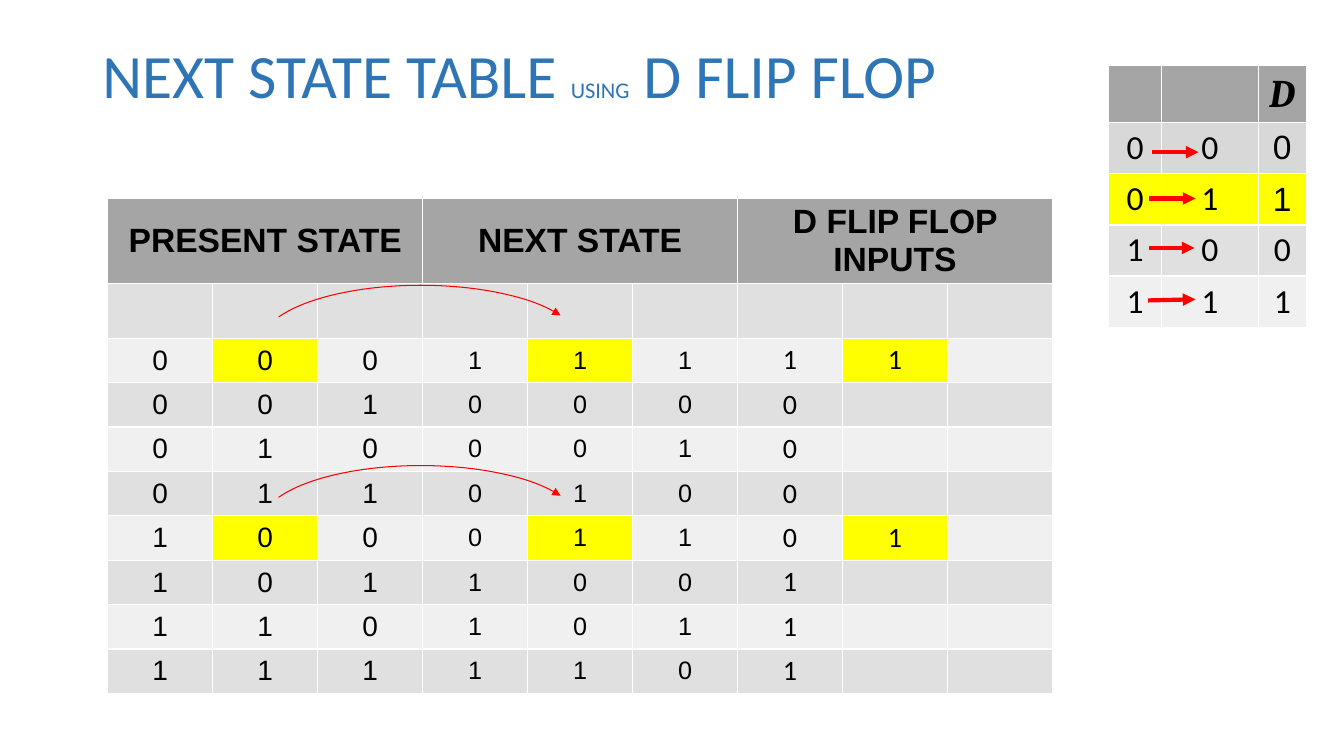
"""Build the next state table slide for a D flip flop design."""
import pptx
import pptx.util
import pptx.dml.color
import pptx.enum.shapes
import pptx.enum.text
import pptx.oxml
import pptx.oxml.ns

Pt = pptx.util.Pt
SHAPES = pptx.enum.shapes
TEXT = pptx.enum.text

COLORS = {"title": "2E75B5", "text": "000000", "header": "A5A5A5", "dark": "E0E0E0",
          "light": "F0F0F0", "first": "D8D8D8", "mark": "FFFF00", "arrow": "FF0000"}

TITLE = [("NEXT STATE TABLE ", 44), ("USING", 16), (" D FLIP FLOP", 44)]

STATE_HEADS = ["PRESENT STATE", "NEXT STATE", "D FLIP FLOP INPUTS"]
STATE_ROWS = ["00011111", "0010000", "0100010", "0110100",
              "10001101", "1011001", "1101011", "1111101"]
MARKED_ROWS = (0, 4)
MARKED_COLUMNS = (1, 4, 7)
GROUP_FONTS = [("Arial", 20), ("Arial", 18), ("Calibri", 20)]

EXCITATION_ROWS = [("000", "first", "Arial"), ("011", "mark", "Arial"),
                   ("100", "dark", "Calibri"), ("111", "light", "Calibri")]

TRANSITION_ARROWS = [(820.8, 141.8, 853.9, 141.8), (820.8, 177.1, 853.2, 177.1),
                     (820.1, 214.6, 853.9, 213.8), (823, 108.7, 856.1, 108.7)]
ARC_TOPS = (203.8, 332.6)


def rgb(name):
    return pptx.dml.color.RGBColor.from_string(COLORS[name])


def add_run(para, text, font, size, color="text", bold=False, italic=False):
    span = para.add_run()
    span.text = text
    span.font.name, span.font.size = font, Pt(size)
    span.font.bold, span.font.italic = bold, italic
    span.font.color.rgb = rgb(color)


def fill_cell(cell, fill, text="", font="Calibri", size=24, bold=False, italic=False):
    cell.fill.solid()
    cell.fill.fore_color.rgb = rgb(fill)
    cell.vertical_anchor = TEXT.MSO_ANCHOR.MIDDLE
    if text:
        para = cell.text_frame.paragraphs[0]
        para.alignment = TEXT.PP_ALIGN.CENTER
        add_run(para, text, font, size, bold=bold, italic=italic)


def add_grid(page, left, top, widths, heights):
    grid = page.shapes.add_table(len(heights), len(widths), Pt(left), Pt(top),
                                 Pt(sum(widths)), Pt(sum(heights))).table
    for column, width in zip(grid.columns, widths):
        column.width = Pt(width)
    for row, height in zip(grid.rows, heights):
        row.height = Pt(height)
    return grid


def style_arrow(shape, width):
    shape.line.color.rgb = rgb("arrow")
    shape.line.width = Pt(width)
    line = shape.line._get_or_add_ln()
    pptx.oxml.ns.qn("a:ln")
    line.append(pptx.oxml.parse_xml(
        '<a:tailEnd xmlns:a="http://schemas.openxmlformats.org/drawingml/2006/main" type="triangle"/>'))


def add_title(page):
    title = page.shapes.title
    title.left, title.top, title.width, title.height = Pt(66), Pt(28.8), Pt(828), Pt(104.4)
    frame = title.text_frame
    frame.auto_size = TEXT.MSO_AUTO_SIZE.NONE
    frame.vertical_anchor = TEXT.MSO_ANCHOR.TOP
    para = frame.paragraphs[0]
    para.alignment = TEXT.PP_ALIGN.LEFT
    para.line_spacing = 0.9
    for text, size in TITLE:
        add_run(para, text, "Calibri", size, "title")


def add_excitation_table(page):
    grid = add_grid(page, 792, 47, [37.5, 69.5, 34], [40.7] + [36.5] * 4)
    for column, text in enumerate(["", "", "D"]):
        fill_cell(grid.cell(0, column), "header", text, "Cambria", 28, True, True)
    for row, (digits, fill, output_font) in enumerate(EXCITATION_ROWS, 1):
        for column, digit in enumerate(digits):
            font = output_font if column == 2 else "Calibri"
            fill_cell(grid.cell(row, column), fill, digit, font)
    for x1, y1, x2, y2 in TRANSITION_ARROWS:
        arrow = page.shapes.add_connector(SHAPES.MSO_CONNECTOR.STRAIGHT,
                                          Pt(x1), Pt(y1), Pt(x2), Pt(y2))
        style_arrow(arrow, 3)
        arrow._element.spPr.append(pptx.oxml.parse_xml(
            '<a:effectLst xmlns:a="http://schemas.openxmlformats.org/drawingml/2006/main"/>'))


def add_state_table(page):
    grid = add_grid(page, 77, 141.8, [75] * 9, [60.5, 39] + [31.65] * 8)
    for group, head in enumerate(STATE_HEADS):
        first = grid.cell(0, group * 3)
        first.merge(grid.cell(0, group * 3 + 2))
        fill_cell(first, "header", head, "Arial", 24, True)
    for column in range(9):
        fill_cell(grid.cell(1, column), "dark")
    for index, digits in enumerate(STATE_ROWS):
        for column, digit in enumerate(digits.ljust(9)):
            marked = index in MARKED_ROWS and column in MARKED_COLUMNS
            fill = "mark" if marked else ("light", "dark")[index % 2]
            font, size = GROUP_FONTS[column // 3]
            fill_cell(grid.cell(index + 2, column), fill, digit.strip(), font, size)
    for top in ARC_TOPS:
        arc = page.shapes.add_shape(SHAPES.MSO_SHAPE.ARC, Pt(186.5), Pt(top), Pt(228.2), Pt(83.5))
        arc.adjustments[0], arc.adjustments[1] = 114.38, 209.15
        arc.shadow.inherit = False
        arc.fill.background()
        style_arrow(arc, 0.75)


def main():
    deck = pptx.Presentation()
    deck.slide_width, deck.slide_height = Pt(960), Pt(540)
    page = deck.slides.add_slide(deck.slide_layouts[5])
    add_title(page)
    add_excitation_table(page)
    add_state_table(page)
    deck.save("out.pptx")


if __name__ == "__main__":
    main()
